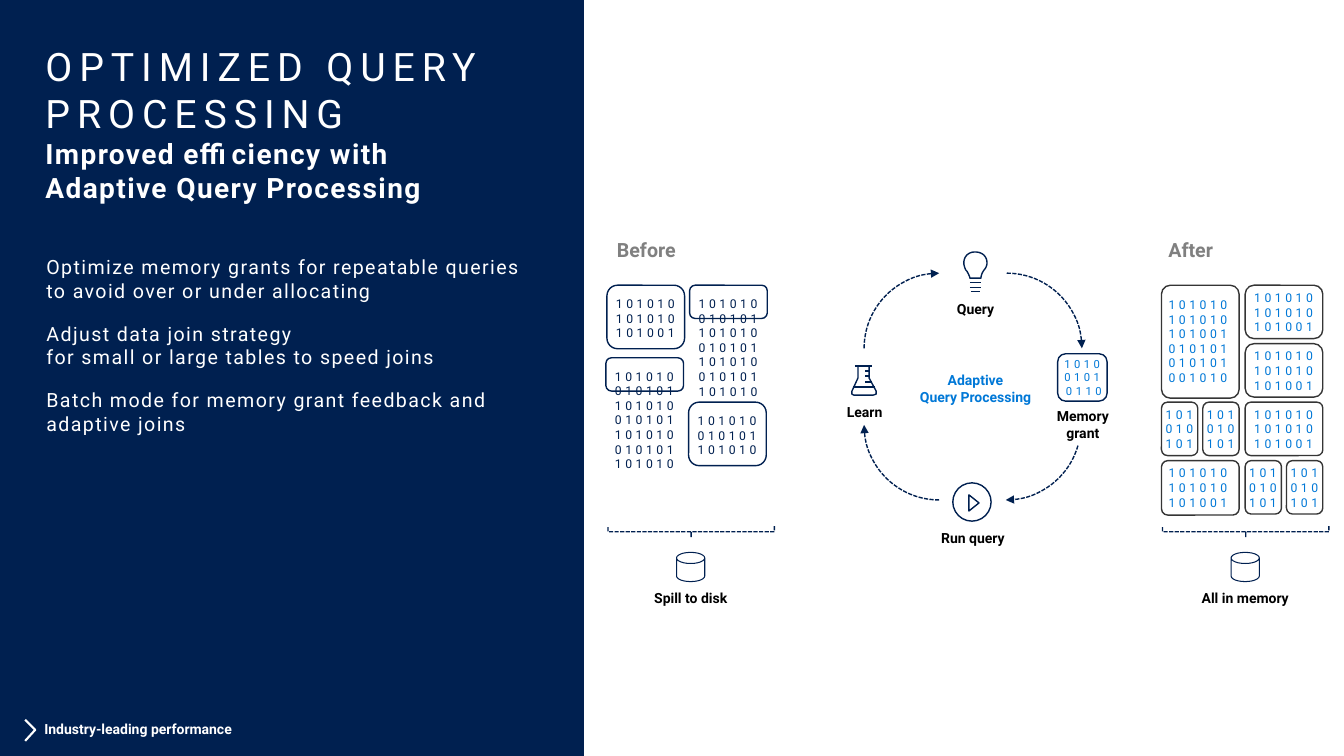
from lxml import etree
from pptx import Presentation
from pptx.dml.color import RGBColor
from pptx.enum.dml import MSO_LINE
from pptx.enum.shapes import MSO_CONNECTOR, MSO_SHAPE as SHAPE
from pptx.enum.text import MSO_ANCHOR as ANCHOR, PP_ALIGN as ALIGN
from pptx.oxml.ns import qn
from pptx.util import Inches, Pt

COLORS = {"navy": "002050", "blue": "0078D7", "gray": "808080",
          "dark": "353535", "black": "000000", "white": "FFFFFF"}
FONT = "Roboto"
LABEL_INSETS = (0.08, 0.04, 0.08, 0.04)
BITS = "101010101010101001"
LONG_BITS = ["101010010101101010010101", "101010010101", "101010"]
SMALL_BITS = "101010101"


def rgb(name):
    return RGBColor.from_string(COLORS[name])


def style(sp, line=None, width=1, fill=None, dashed=False, arrow=False):
    """Set outline and fill, and drop the default shadow."""
    sp.shadow.inherit = False
    if fill:
        sp.fill.solid()
        sp.fill.fore_color.rgb = rgb(fill)
    else:
        sp.fill.background()
    if not line:
        sp.line.fill.background()
        return
    sp.line.color.rgb = rgb(line)
    sp.line.width = Pt(width)
    if dashed:
        sp.line.dash_style = MSO_LINE.SQUARE_DOT
    if arrow:
        etree.SubElement(sp.line._get_or_add_ln(), qn("a:tailEnd"), type="triangle")


def add_shape(s, kind, box, rotation=0, adj=(), **look):
    sp = s.shapes.add_shape(kind, *map(Inches, box))
    sp.rotation = rotation
    for i, value in enumerate(adj):
        sp.adjustments[i] = value
    style(sp, **look)
    return sp


def add_outline(s, points, color, width=1, close=True):
    pts = [(Inches(x), Inches(y)) for x, y in points]
    builder = s.shapes.build_freeform(*pts[0], scale=1.0)
    builder.add_line_segments(pts[1:], close=close)
    style(builder.convert_to_shape(), line=color, width=width)


def add_stroke(s, x1, y1, x2, y2):
    cn = s.shapes.add_connector(MSO_CONNECTOR.STRAIGHT, *map(Inches, (x1, y1, x2, y2)))
    cn.line.color.rgb = rgb("navy")
    cn.line.width = Pt(1)
    etree.SubElement(cn._element.spPr, qn("a:effectLst"))


def add_run(p, text, size, color, bold=False, spacing=0):
    """Add a run; each newline in the text becomes a line break."""
    for i, line in enumerate(text.split("\n")):
        if i:
            p.add_line_break()
        r = p.add_run()
        r.text = line
        r.font.size, r.font.name, r.font.bold = Pt(size), FONT, bold
        r.font.color.rgb = rgb(color)
        if spacing:
            r._r.get_or_add_rPr().set("spc", str(int(spacing * 100)))


def set_frame(tf, insets, wrap=True, anchor=ANCHOR.TOP):
    tf.word_wrap = wrap
    tf.vertical_anchor = anchor
    tf.margin_left, tf.margin_top, tf.margin_right, tf.margin_bottom = map(Inches, insets)


def add_text(s, box, paragraphs, size, color, bold=False, spacing=0, align=ALIGN.LEFT,
             insets=(0.1, 0.05, 0.1, 0.05), wrap=True, gap=0):
    tf = s.shapes.add_textbox(*map(Inches, box)).text_frame
    set_frame(tf, insets, wrap)
    for i, text in enumerate(paragraphs):
        p = tf.add_paragraph() if i else tf.paragraphs[0]
        p.alignment = align
        if i and gap:
            p.space_before = Pt(gap)
        add_run(p, text, size, color, bold, spacing)
    return tf


def add_label(s, box, text, color="black", **frame):
    add_text(s, box, [text], 10, color, bold=True, align=ALIGN.CENTER, **frame)


def add_bits(s, box, paragraphs, color):
    add_text(s, box, paragraphs, 8.7, color, spacing=2.5, insets=(0, 0, 0, 0))


def left_panel(s, x, y, w, h):
    add_shape(s, SHAPE.RECTANGLE, (x, y, w, h), fill="navy")
    insets = (0.16, 0.1, 0.16, 0.1)
    tf = add_text(s, (x + 0.29, y + 0.32, 5.22, 1.14), ["OPTIMIZED QUERY PROCESSING"],
                  28, "white", spacing=5, insets=insets)
    p = tf.paragraphs[0]
    p.add_line_break()
    add_run(p, "Improved efficiency with\nAdaptive Query Processing", 20, "white", True, 1)
    add_text(s, (x + 0.3, y + 2.43, 5.22, 2.01), [
        "Optimize memory grants for repeatable queries to avoid over or under allocating",
        "Adjust data join strategy\nfor small or large tables to speed joins",
        "Batch mode for memory grant feedback and adaptive joins",
    ], 14, "white", spacing=1, insets=insets, gap=14)
    fx, fy = x + 0.25, y + h - 0.36
    add_outline(s, [(fx, fy), (fx + 0.1, fy + 0.1), (fx, fy + 0.21)], "white", 1.5, close=False)
    tf = add_text(s, (x + 0.24, fy - 0.02, 3.35, 0.26), ["Industry-leading performance"],
                  10, "white", bold=True, insets=(0.2, 0.05, 0.1, 0.05))
    tf.paragraphs[0].line_spacing = 0.9


def storage_footer(s, center, y, text, width):
    """Draw the bracket, the disk and its caption around a centre line."""
    add_shape(s, SHAPE.RIGHT_BRACE, (center - 0.05, y - 0.83, 0.11, 1.65), 90,
              (0, 0.5), line="navy", dashed=True)
    add_shape(s, SHAPE.CAN, (center - 0.14, y + 0.2, 0.28, 0.29), adj=(0.395,),
              line="navy", width=0.75, fill="white")
    add_label(s, (center - width / 2, y + 0.52, width, 0.27), text, wrap=False)


def before_panel(s, x, y):
    add_text(s, (x, y, 0.83, 0.34), ["Before"], 14, "gray", bold=True)
    blocks = [(0, 0.52, 0.63, [BITS]), (0.82, 0.52, 0.33, LONG_BITS),
              (-0.01, 1.24, 0.33, LONG_BITS), (0.81, 1.68, 0.63, ["101010010101101010"])]
    for dx, dy, h, bits in blocks:
        add_shape(s, SHAPE.ROUNDED_RECTANGLE, (x + dx, y + dy, 0.77, h), line="navy")
        text_h = 0.44 if len(bits) == 1 else 1.02
        add_bits(s, (x + dx + 0.09, y + dy + 0.11, 0.64, text_h), bits, "navy")
    storage_footer(s, x + 0.83, y + 2.97, "Spill to disk", 0.95)


def after_panel(s, x, y):
    add_text(s, (x - 0.03, y, 0.83, 0.34), ["After"], 14, "gray", bold=True)
    columns, pitch = (0, 0.41, 0.83, 1.24), 0.58
    # column, row, width, height, corner, text offset, text
    cards = [(0, 0, 0.77, 1.12, 0.113, (0.07, 0.12), "101010101010101001010101010101001010"),
             (2, 0, 0.77, 0.53, 0.167, (0.09, 0.05), BITS),
             (2, 1, 0.77, 0.53, 0.167, (0.09, 0.05), BITS),
             (2, 2, 0.77, 0.53, 0.107, (0.09, 0.05), BITS),
             (0, 3, 0.77, 0.54, 0.116, (0.07, 0.05), BITS)]
    cards += [(col, row, 0.36, 0.53, 0.167, (0.04, 0.05), SMALL_BITS)
              for col, row in ((2, 3), (3, 3), (0, 2), (1, 2))]
    for col, row, w, h, corner, (dx, dy), bits in cards:
        cx, cy = x + columns[col], y + 0.52 + row * pitch
        add_shape(s, SHAPE.ROUNDED_RECTANGLE, (cx, cy, w, h), adj=(corner,), line="dark")
        text_w = 0.64 if w > 0.5 else 0.32
        add_bits(s, (cx + dx, cy + dy, text_w, h - 0.1), [bits], "blue")
    storage_footer(s, x + 0.83, y + 2.97, "All in memory", 1.11)


def bulb_icon(s, x, y):
    curves = [((0.2, 0.18), (0.17, 0.22), (0.17, 0.26), (0.17, 0.26)),
              ((0.06, 0.26), (0.06, 0.24), (0.03, 0.19), (0.03, 0.19)),
              ((0.02, 0.18), (0.01, 0.16), (0, 0.13), (0, 0.11)),
              ((0, 0.11), (0, 0.04), (0.05, 0), (0.11, 0)),
              ((0.11, 0), (0.18, 0), (0.23, 0.04), (0.23, 0.11)),
              ((0.23, 0.11), (0.23, 0.13), (0.22, 0.16), (0.2, 0.18))]
    steps = 10
    points = []
    for curve in curves:
        for t in (i / steps for i in range(steps + 1)):
            weights = ((1 - t) ** 3, 3 * t * (1 - t) ** 2, 3 * t * t * (1 - t), t ** 3)
            points.append((x + sum(k * p[0] for k, p in zip(weights, curve)),
                           y + sum(k * p[1] for k, p in zip(weights, curve))))
    add_outline(s, points, "navy")
    for x1, x2, dy in ((0.06, 0.17, 0.3), (0.06, 0.17, 0.35), (0.07, 0.16, 0.39)):
        add_stroke(s, x + x1, y + dy, x + x2, y + dy)


def flask_icon(s, x, y):
    outline = [(0.08, 0), (0.08, 0.12), (0.02, 0.25), (0.02, 0.28), (0.04, 0.29),
               (0.23, 0.29), (0.26, 0.28), (0.26, 0.25), (0.19, 0.12), (0.19, 0)]
    add_outline(s, [(x + dx, y + dy) for dx, dy in outline], "navy")
    for x1, x2, dy in ((0.03, 0.25, 0.21), (0.15, 0.19, 0.05), (0.15, 0.19, 0.1),
                       (0.15, 0.22, 0.16), (0.05, 0.22, 0)):
        add_stroke(s, x + x1, y + dy, x + x2, y + dy)


def cycle(s, x, y):
    """Draw the loop of four steps; x, y is the corner of its arcs."""
    size, dx, dy = 1.49, 0.67, 0.76
    for ax, ay, turn, start in ((dx, 0, 0, 162), (dx - 0.01, dy, 90, 171.6),
                                (0, dy, 180, 162), (0, 0, 270, 162)):
        add_shape(s, SHAPE.ARC, (x + ax, y + ay, size, size), turn, (start, 0),
                  line="navy", dashed=True, arrow=True)
    for lx, ly, w, h, text in ((0.75, 0.23, 0.71, 0.25, "Query"),
                               (1.8, 1.29, 0.74, 0.43, "Memory grant"),
                               (-0.29, 1.25, 0.59, 0.25, "Learn"),
                               (0.63, 2.5, 0.9, 0.25, "Run query")):
        add_label(s, (x + lx, y + ly, w, h), text, insets=LABEL_INSETS)
    add_label(s, (x + 0.42, y + 0.93, 1.37, 0.44), "Adaptive\nQuery Processing",
              "blue", wrap=False)
    grant = add_shape(s, SHAPE.ROUNDED_RECTANGLE, (x + 1.92, y + 0.8, 0.49, 0.47), line="navy")
    set_frame(grant.text_frame, (0.03, 0, 0, 0), anchor=ANCHOR.MIDDLE)
    p = grant.text_frame.paragraphs[0]
    p.alignment = ALIGN.CENTER
    add_run(p, "101001010110", 8, "blue", spacing=2.5)
    flask_icon(s, x - 0.14, y + 0.92)
    bulb_icon(s, x + 0.99, y - 0.21)
    add_shape(s, SHAPE.OVAL, (x + 0.88, y + 2.08, 0.38, 0.38), line="navy")
    add_shape(s, SHAPE.ISOSCELES_TRIANGLE, (x + 1.01, y + 2.23, 0.16, 0.1), 90, line="navy")


def main():
    prs = Presentation()
    prs.slide_width, prs.slide_height = Inches(13.33), Inches(7.5)
    s = prs.slides.add_slide(prs.slide_layouts[6])
    left_panel(s, 0, 0, 5.79, 7.5)
    before_panel(s, 6.02, 2.31)
    cycle(s, 8.57, 2.71)
    after_panel(s, 11.52, 2.31)
    prs.save("out.pptx")


if __name__ == "__main__":
    main()
